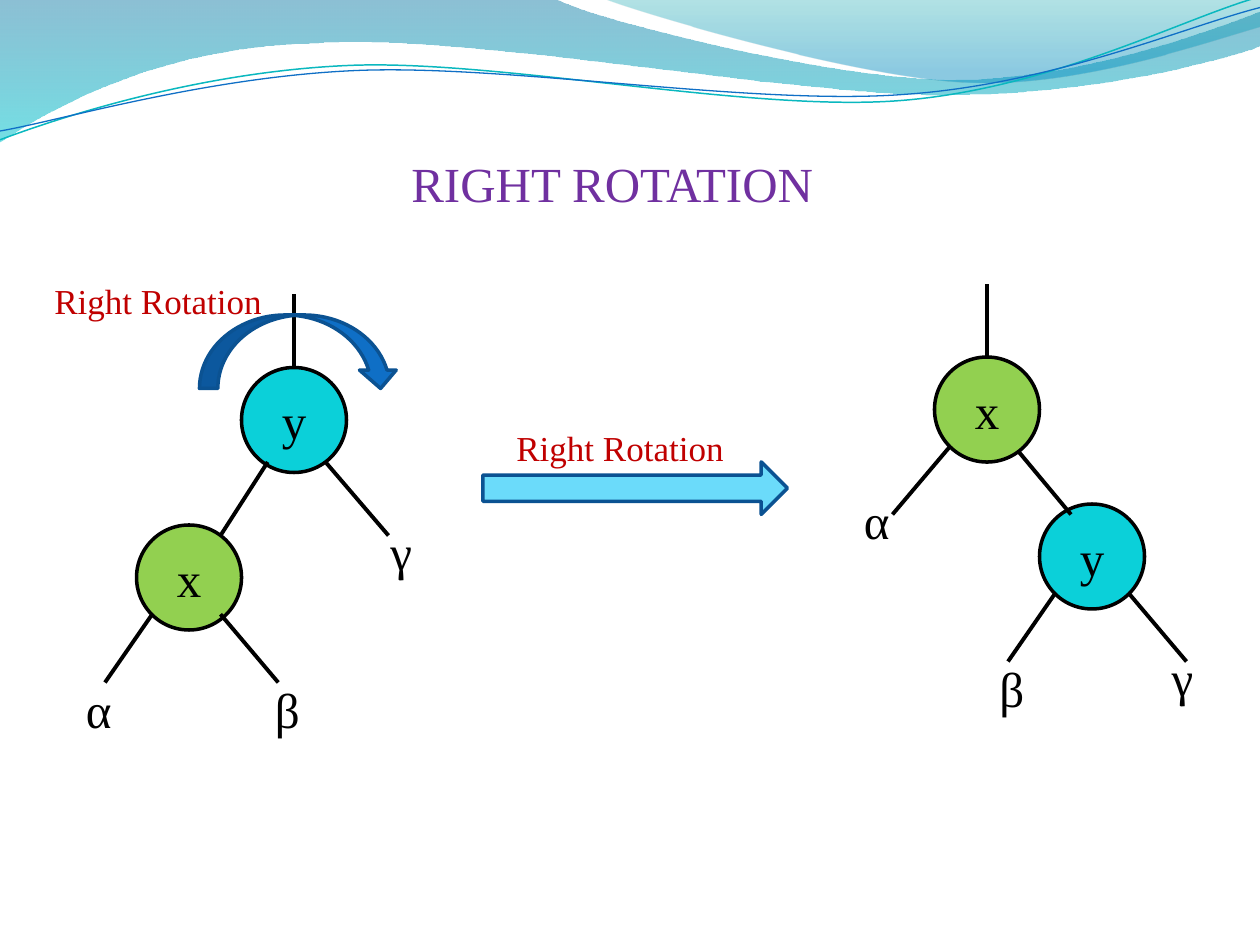
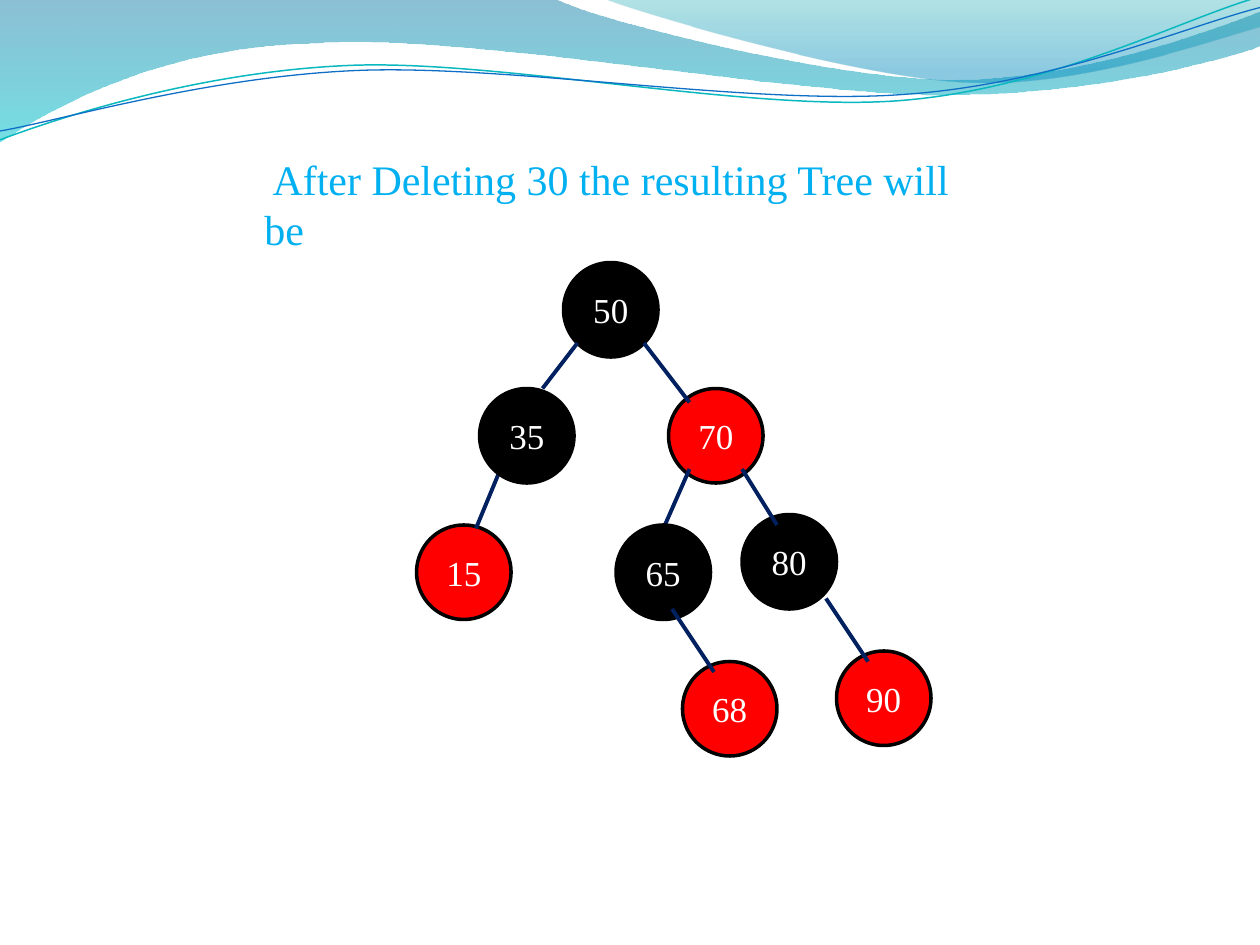
"""Build two slides on tree rotation and deletion."""
from dataclasses import dataclass
from typing import Optional

from lxml import etree
from pptx import Presentation
from pptx import util as u
from pptx.dml import color
from pptx.enum import shapes, text
from pptx.oxml import ns

COLS, ROWS = 120, 90
WIDTH, HEIGHT = u.Inches(10), u.Inches(7.5)
KIND = shapes.MSO_SHAPE


@dataclass(frozen=True)
class Theme:
    """Colours, font, type sizes and line widths."""
    font: str = "Times New Roman"
    big: float = 28
    mid: float = 24
    small: float = 20
    rim: float = 2
    edge: float = 2.25
    black: str = "000000"
    white: str = "FFFFFF"
    red: str = "FF0000"
    green: str = "92D050"
    cyan: str = "0BD0D9"
    navy: str = "002060"
    blue: str = "0F6FC6"
    deep: str = "0B5292"
    pale: str = "6BDBFA"
    teal: str = "0AB8BF"
    title: str = "7030A0"
    sky: str = "00B0F0"
    note: str = "C00000"
    band: tuple = ((0, "0074A1", 45), (1, "00C6CF", 55))
    crest: tuple = ((0, "00A1A9", 30), (.8, "008BBF", 45))


T = Theme()


def rgb(code: str) -> color.RGBColor:
    """Turn a hex code into a colour."""
    return color.RGBColor.from_string(code)


def col(n: float) -> int:
    """Give the place of a grid column."""
    return round(n * WIDTH / COLS)


def row(n: float) -> int:
    """Give the place of a grid row."""
    return round(n * HEIGHT / ROWS)


def share(n: float) -> int:
    """Give a percentage of the slide's width."""
    return round(n * WIDTH / 100)


def write(frame, words: str, size: float, ink: str) -> None:
    """Set one paragraph in a text frame."""
    para = frame.paragraphs[0]
    para.text = words
    para.font.name, para.font.size = T.font, u.Pt(size)
    para.font.color.rgb = rgb(ink)


@dataclass
class Block:
    """A filled preset shape."""
    kind: int
    x: float
    y: float
    w: float
    h: float
    fill: str
    rim: str = T.deep

    def draw(self, slide):
        """Add the shape to the slide."""
        shape = slide.shapes.add_shape(
            self.kind, col(self.x), row(self.y), col(self.w), row(self.h))
        shape.shadow.inherit = False
        shape.fill.solid()
        shape.fill.fore_color.rgb = rgb(self.fill)
        shape.line.color.rgb = rgb(self.rim)
        shape.line.width = u.Pt(T.rim)
        return shape


@dataclass
class Node:
    """A round tree node, with a stub above it if it has a parent."""
    words: str
    x: float
    y: float
    fill: str
    side: float = 9
    size: float = T.small
    ink: str = T.white
    stub: float = 0

    def draw(self, slide) -> None:
        """Add the node to the slide."""
        disc = Block(KIND.OVAL, self.x, self.y, self.side, self.side,
                     self.fill, T.black).draw(slide)
        write(disc.text_frame, self.words, self.size, self.ink)
        disc.text_frame.paragraphs[0].alignment = text.PP_ALIGN.CENTER
        disc.text_frame.vertical_anchor = text.MSO_ANCHOR.MIDDLE
        if self.stub:
            mid = self.x + self.side / 2
            line = Edge(mid, self.y, mid, self.y - self.stub).draw(slide)
            line.begin_connect(disc, 0)


@dataclass
class Edge:
    """A straight line between two grid points."""
    x: float
    y: float
    to_x: float
    to_y: float
    ink: str = T.black

    def draw(self, slide):
        """Add the line to the slide."""
        line = slide.shapes.add_connector(
            shapes.MSO_CONNECTOR.STRAIGHT, col(self.x), row(self.y),
            col(self.to_x), row(self.to_y))
        line.line.color.rgb = rgb(self.ink)
        line.line.width = u.Pt(T.edge)
        etree.SubElement(line.element.spPr, ns.qn("a:effectLst"))
        return line


@dataclass
class Label:
    """A text box."""
    words: str
    x: float
    y: float
    w: float = 5
    h: float = 6.8
    size: float = T.big
    ink: str = T.black
    wrap: bool = False

    def draw(self, slide) -> None:
        """Add the text to the slide."""
        box = slide.shapes.add_textbox(
            col(self.x), row(self.y), col(self.w), row(self.h))
        box.text_frame.word_wrap = self.wrap
        box.text_frame.auto_size = text.MSO_AUTO_SIZE.SHAPE_TO_FIT_TEXT
        write(box.text_frame, self.words, self.size, self.ink)


@dataclass
class Wave:
    """A curved band or line; steps hold L for lines and C for curves."""
    steps: str
    points: list
    stops: tuple = ()
    ink: Optional[str] = None
    width: float = 0

    def draw(self, slide):
        """Add the wave to the slide."""
        first, *rest = [(share(x), share(y)) for x, y in self.points]
        pen = slide.shapes.build_freeform(*first)
        pen.add_line_segments(rest, close=bool(self.stops))
        wave = pen.convert_to_shape()
        wave.shadow.inherit = False
        self.bend(wave)
        if self.stops:
            self.blend(wave)
        else:
            wave.fill.background()
        if self.ink:
            wave.line.color.rgb = rgb(self.ink)
            wave.line.width = u.Pt(self.width)
        else:
            wave.line.fill.background()
        return wave

    def bend(self, wave) -> None:
        """Join each three points of a curve step into one curve."""
        legs = iter(list(wave.element.iter(ns.qn("a:lnTo"))))
        for step in self.steps:
            leg = next(legs)
            if step == "C":
                curve = etree.Element(ns.qn("a:cubicBezTo"))
                leg.addprevious(curve)
                for part in (leg, next(legs), next(legs)):
                    curve.append(part[0])
                    part.getparent().remove(part)

    def blend(self, wave) -> None:
        """Fill the wave with a see-through gradient, top to bottom."""
        wave.fill.gradient()
        wave.fill.gradient_angle = 270
        for stop, (place, ink, _) in zip(wave.fill.gradient_stops,
                                         self.stops):
            stop.position = place
            stop.color.rgb = rgb(ink)
        tones = list(wave.element.spPr.iter(ns.qn("a:srgbClr")))
        for tone, (_, _, alpha) in zip(tones, self.stops):
            etree.SubElement(tone, ns.qn("a:alpha"), val=str(alpha * 1000))


WAVES = [
    Wave("LCCLCCC", [
        (0, 0), (44, -.1), (47.6, 1.7), (66.4, 6.3), (75.8, 6.3),
        (85.3, 6.3), (95.8, 2.6), (100, .9), (100.1, 3.6), (98.3, 4.4),
        (87, 7.6), (74.6, 7.5), (62.2, 7.5), (38.2, 2.8), (25.7, 3.4),
        (12.9, 3.6), (4.6, 8.3), (-.1, 11.3)], T.band),
    Wave("CCL", [
        (47.9, -.1), (50.9, 1.1), (68.2, 6.2), (76.9, 6.5), (85.6, 6.9),
        (96.1, 3.2), (100, 2.1), (100, 0)], T.crest),
    Wave("CCC", [
        (0, 11.1), (4.8, 9.3), (15.8, 5.7), (27.7, 5.2), (39.5, 4.7),
        (59.3, 8.9), (71.3, 8), (83.3, 7.1), (93.8, 1.5), (99.8, -.2)],
        ink=T.teal, width=.85),
    Wave("CCC", [
        (0, 10.4), (4.7, 9.6), (16.4, 6.1), (28.3, 5.6), (40.3, 5.1),
        (59.7, 8.4), (71.7, 7.5), (83.6, 6.7), (94.1, 2.1), (100, .6)],
        ink=T.blue, width=.75),
]


def ball(words: str, x: float, y: float, fill: str, stub: float = 0) -> Node:
    """Make a lettered node."""
    return Node(words, x, y, fill, 10, T.big, T.black, stub)


def note(x: float, y: float) -> Label:
    """Make a caption naming the move."""
    return Label("Right Rotation", x, y, 22.3, 5.3, T.small, T.note)


def link(x: float, y: float, to_x: float, to_y: float) -> Edge:
    """Make an edge of the numbered tree."""
    return Edge(x, y, to_x, to_y, T.navy)


TURN = [
    ball("x", 13, 50, T.green), ball("y", 23, 35, T.cyan, 7),
    Edge(25.5, 44, 21, 51), Edge(14.5, 58.5, 10, 65),
    Edge(21, 58.5, 26.5, 65), Edge(31, 44, 37, 51),
    Label("α", 7, 64.1), Label("β", 25, 64.1), Label("γ", 36, 49.1),
    Label("RIGHT ROTATION", 38, 14, 41.2, ink=T.title),
    Block(KIND.RIGHT_ARROW, 46, 44, 29, 5, T.pale),
    Block(KIND.CURVED_DOWN_ARROW, 19, 30, 19, 7, T.blue),
    note(4, 26), note(48, 40),
    ball("x", 89, 34, T.green, 7), ball("y", 99, 48, T.cyan),
    Edge(97, 43, 102, 49), Edge(90.5, 42.5, 85, 49),
    Edge(100.5, 56.5, 96, 63), Edge(107.5, 56.5, 113, 63),
    Label("α", 81.1, 46.1), Label("β", 94, 62.1), Label("γ", 110.4, 61.1),
]

TREE = [
    Label(" After Deleting 30 the resulting Tree will be", 24, 14, 71.5, 6,
          T.mid, T.sky, True),
    Node("50", 53.67, 25, T.black), Node("70", 63.67, 37, T.red),
    Node("80", 70.67, 49, T.black), Node("68", 65, 63, T.red),
    Node("90", 79.67, 62, T.red),
    link(61.33, 32.67, 65.67, 38.33), link(70.67, 44.67, 74, 50),
    link(55, 32.67, 51.67, 37), link(65.67, 44.67, 63.33, 50),
    link(78.67, 57, 82.67, 63),
    Node("15", 39.67, 50, T.red), Node("65", 58.67, 50, T.black),
    link(64, 58, 68, 64), link(47.67, 44.67, 45.33, 50.33),
    Node("35", 45.67, 37, T.black),
]


def main() -> None:
    """Build and save the deck."""
    deck = Presentation()
    deck.slide_width, deck.slide_height = WIDTH, HEIGHT
    blank = deck.slide_layouts[6]
    for spare in list(blank.placeholders):
        spare.element.getparent().remove(spare.element)
    turn, tree = [deck.slides.add_slide(blank) for _ in range(2)]
    for wave in [item.draw(turn) for item in WAVES]:
        blank.shapes.element.append(wave.element)
    for slide, parts in ((turn, TURN), (tree, TREE)):
        for part in parts:
            part.draw(slide)
    deck.save("out.pptx")


if __name__ == "__main__":
    main()
